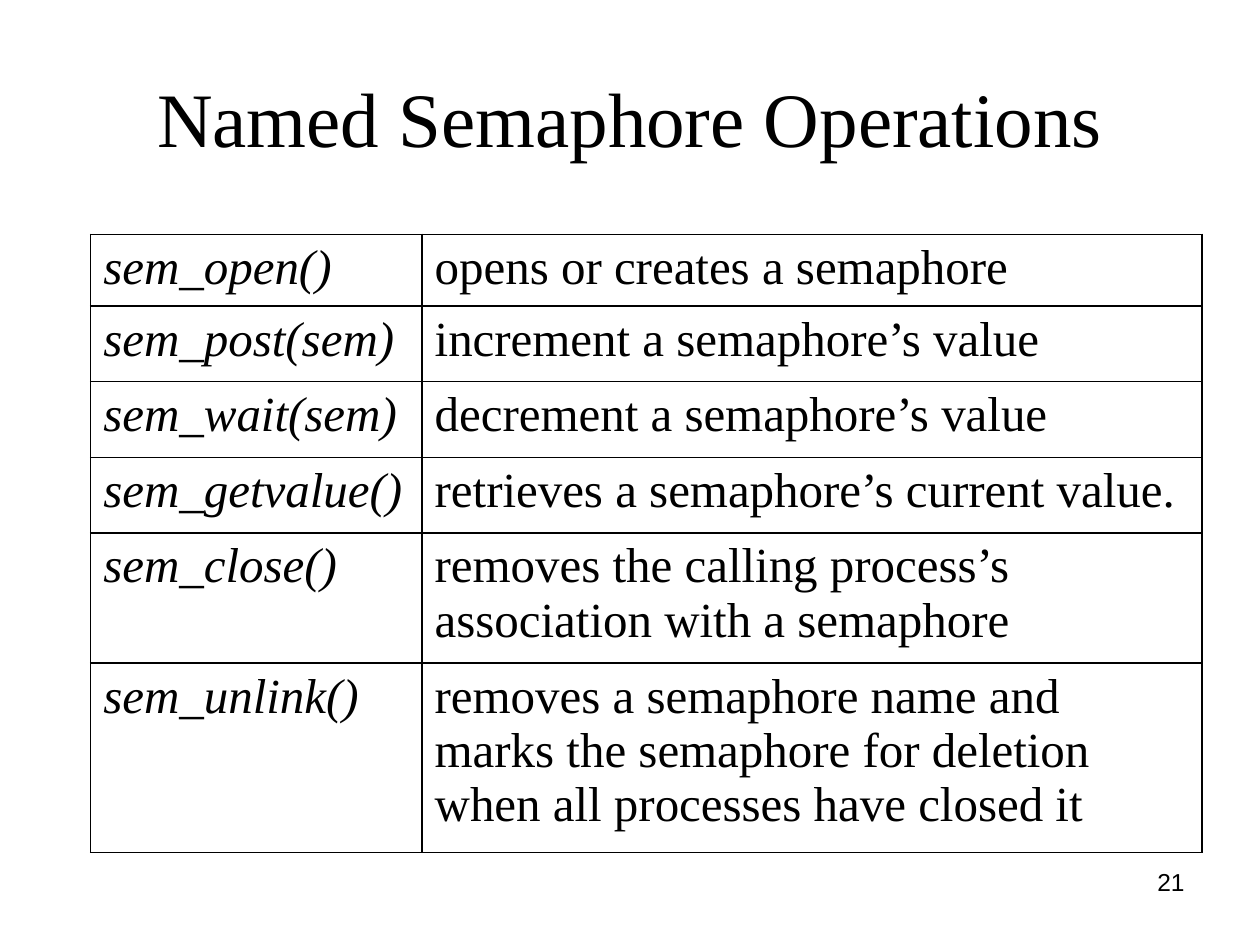
from lxml import etree
from pptx import Presentation
from pptx.dml.color import RGBColor
from pptx.enum.text import MSO_ANCHOR, PP_ALIGN
from pptx.oxml.ns import qn

PX = 9144
MIDDLE = MSO_ANCHOR.MIDDLE
CENTER, RIGHT, LEFT = PP_ALIGN.CENTER, PP_ALIGN.RIGHT, PP_ALIGN.LEFT
BLACK, WHITE = "000000", "FFFFFF"
SERIF, SANS = "Times New Roman", "Arial"


def color(code):
    return RGBColor.from_string(code)


def write(frame, text, size, face, align, italic=False):
    frame.word_wrap = True
    frame.text = text
    para = frame.paragraphs[0]
    para.alignment = align
    font = para.runs[0].font
    font.size = size * 12700
    font.name = face
    font.italic = italic
    font.color.rgb = color(BLACK)


deck = Presentation()
deck.slide_width, deck.slide_height = 1000 * PX, 750 * PX
slide = deck.slides.add_slide(deck.slide_layouts[5])

title = slide.shapes.title
title.left, title.top = 50 * PX, 30 * PX
title.width, title.height = 900 * PX, 125 * PX
write(title.text_frame, "Named Semaphore Operations", 44, SERIF, CENTER)
title.text_frame.vertical_anchor = MIDDLE

number = slide.shapes.add_textbox(717 * PX, 683 * PX, 233 * PX, 52 * PX)
write(number.text_frame, "21", 14, SANS, RIGHT)

calls = [
    ("sem_open()", "opens or creates a semaphore", 57),
    ("sem_post(sem)", "increment a semaphore’s value", 60),
    ("sem_wait(sem)", "decrement a semaphore’s value", 60),
    ("sem_getvalue()", "retrieves a semaphore’s current value.", 60),
    ("sem_close()", "removes the calling process’s association with a semaphore", 103),
    ("sem_unlink()", "removes a semaphore name and marks the semaphore for deletion "
     "when all processes have closed it", 150),
]
widths = [263, 619]
high = sum(call[2] for call in calls)
table = slide.shapes.add_table(
    len(calls), 2, 72 * PX, 186 * PX, sum(widths) * PX, high * PX).table
table.first_row = table.horz_banding = False
for col, width in zip(table.columns, widths):
    col.width = width * PX

for row, (name, usage, height) in enumerate(calls):
    table.rows[row].height = height * PX
    for col, text in enumerate((name, usage)):
        cell = table.cell(row, col)
        write(cell.text_frame, text, 28, SERIF, LEFT, col == 0)
        cell.margin_left = cell.margin_right = 10 * PX
        cell.margin_top = cell.margin_bottom = 5 * PX
        props = cell._tc.get_or_add_tcPr()
        for side in ("lnL", "lnR", "lnT", "lnB"):
            line = etree.SubElement(props, qn("a:" + side), w="12700")
            fill = etree.SubElement(line, qn("a:solidFill"))
            etree.SubElement(fill, qn("a:srgbClr"), val=BLACK)
        cell.fill.solid()
        cell.fill.fore_color.rgb = color(WHITE)

deck.save("out.pptx")
